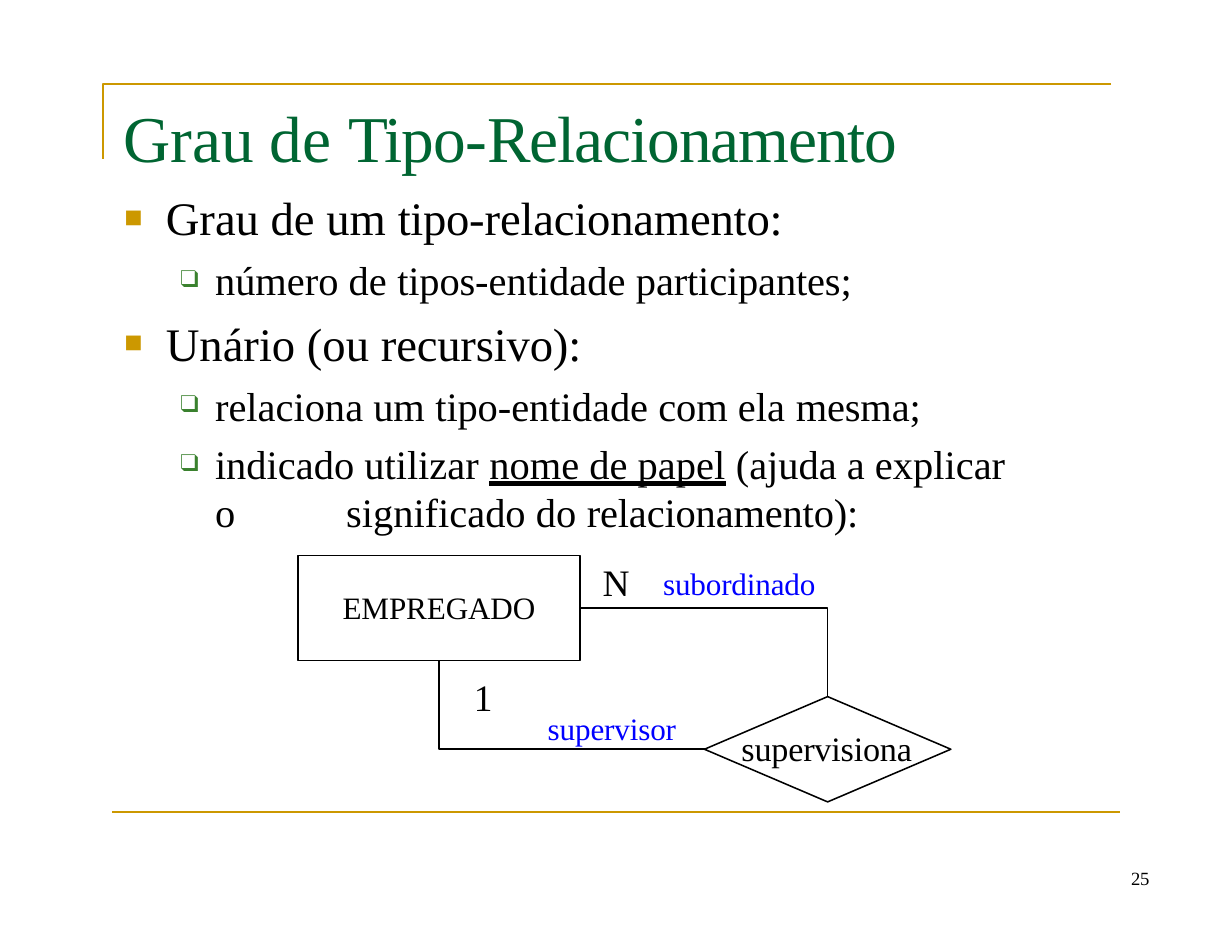
from dataclasses import dataclass

from lxml import etree
from pptx import Presentation
from pptx.dml.color import RGBColor
from pptx.enum.shapes import MSO_CONNECTOR, MSO_SHAPE
from pptx.enum.text import MSO_UNDERLINE
from pptx.oxml.ns import qn
from pptx.util import Inches, Pt

STRAIGHT = MSO_CONNECTOR.STRAIGHT
RECT, DIAMOND = MSO_SHAPE.RECTANGLE, MSO_SHAPE.DIAMOND
HEAVY = MSO_UNDERLINE.HEAVY_LINE
FONT = "Times New Roman"
COLORS = {"gold": "CC9800", "title": "006532", "black": "000000",
          "white": "FFFFFF", "role": "0000FF", "green": "3A812E"}


@dataclass
class Span:
    text: str
    track: float = 0
    under: bool = False


@dataclass
class Label:
    spans: list[Span]
    left: float
    top: float
    width: float
    height: float
    size: float
    color: str = "black"
    before: float = 1


@dataclass
class Level:
    size: float
    margin: float
    hang: float
    mark: str
    tint: str
    scale: int


@dataclass
class Item:
    level: int
    before: float
    spans: list[Span]
    stop: float = 0


LEVELS = [Level(30, 0.39, -0.37, "■", "gold", 65),
          Level(26, 0.83, -0.31, "❑", "green", 60)]
ITEMS = [
    Item(0, 8.3, [Span("Grau de um "), Span("tipo-", -0.2),
                  Span("relacionamento:", -0.1)]),
    Item(1, 6.4, [Span("número de "), Span("tipos-", -0.1),
                  Span("entidade "), Span("participantes;", -0.1)]),
    Item(0, 7, [Span("Unário (ou "), Span("recursivo):", -0.1)]),
    Item(1, 6.4, [Span("relaciona um "), Span("tipo-", -0.1),
                  Span("entidade com ela "), Span("mesma;", -0.1)]),
    Item(1, 6.2, [Span("indicado utilizar "), Span("nome de papel", 0, True),
                  Span(" (ajuda a explicar "), Span("o \t", -0.5),
                  Span("significado do "), Span("relacionamento):", -0.1)],
         stop=2),
]
LABELS = [
    Label([Span("Grau de "), Span("Tipo-", -0.6),
           Span("Relacionamento", -0.7)],
          1.1, 0.86, 6.94, 0.73, 42, "title"),
    Label([Span("supervisiona", -0.1)], 6.62, 6.48, 1.57, 0.39, 22),
    Label([Span("EMPREGADO", -0.1)], 3.06, 5.24, 1.76, 0.36, 20),
    Label([Span("N", -0.5)], 5.38, 4.98, 0.27, 0.43, 24),
    Label([Span("1", -0.5)], 4.23, 6.01, 0.19, 0.43, 24),
    Label([Span("supervisor", -0.1)], 4.89, 6.32, 1.19, 0.36, 20, "role"),
    Label([Span("subordinado", -0.1)], 5.92, 5.03, 1.41, 0.36, 20, "role"),
    Label([Span("25", -0.2)], 10.1, 7.73, 0.25, 0.22, 12, before=0),
]
CORNER = [(9.92, 0.75), (0.92, 0.75), (0.92, 1.42)]
LINK = [(3.92, 5.9), (3.92, 6.69), (7.39, 6.69), (7.39, 5.43), (5.18, 5.43)]


def tone(name: str) -> RGBColor:
    return RGBColor.from_string(COLORS[name])


def add_frame(slide, left: float, top: float, width: float, height: float,
              inset: float, wrap: bool):
    box = slide.shapes.add_textbox(Inches(left), Inches(top),
                                   Inches(width), Inches(height))
    frame = box.text_frame
    frame.word_wrap = wrap
    frame.margin_left = frame.margin_right = frame.margin_bottom = 0
    frame.margin_top = Inches(inset)
    return frame


def fill_para(para, spans: list[Span], size: float, color: str,
              before: float) -> None:
    para.space_before = Pt(before)
    para.font.name, para.font.size = FONT, Pt(size)
    para.font.color.rgb = tone(color)
    for span in spans:
        run = para.add_run()
        run.text = span.text
        if span.track:
            run.font._element.set("spc", str(round(span.track * 100)))
        if span.under:
            run.font.underline = HEAVY


def add_label(slide, label: Label) -> None:
    frame = add_frame(slide, label.left, label.top, label.width,
                      label.height, 0.01, False)
    fill_para(frame.paragraphs[0], label.spans, label.size, label.color,
              label.before)


def set_bullet(para, level: Level, stop: float) -> None:
    props = para._p.get_or_add_pPr()
    props.set("marL", str(Inches(level.margin)))
    props.set("marR", str(Inches(0.1)))
    props.set("indent", str(Inches(level.hang)))
    tint = etree.Element(qn("a:buClr"))
    etree.SubElement(tint, qn("a:srgbClr"), val=COLORS[level.tint])
    scale = etree.Element(qn("a:buSzPct"), val=str(level.scale * 1000))
    face = etree.Element(qn("a:buFont"), typeface=FONT)
    mark = etree.Element(qn("a:buChar"), char=level.mark)
    tabs = etree.Element(qn("a:tabLst"))
    etree.SubElement(tabs, qn("a:tab"), pos=str(Inches(stop or level.margin)),
                     algn="l")
    # Bullet parts stand after spacing and before the default font
    font = props.find(qn("a:defRPr"))
    for part in (tint, scale, face, mark, tabs):
        font.addprevious(part)


def add_body(slide) -> None:
    frame = add_frame(slide, 1.09, 1.57, 8.15, 3.23, 0.12, True)
    for index, item in enumerate(ITEMS):
        para = frame.add_paragraph() if index else frame.paragraphs[0]
        level = LEVELS[item.level]
        para.level = item.level
        fill_para(para, item.spans, level.size, "black", item.before)
        set_bullet(para, level, item.stop)


def add_route(slide, points: list[tuple[float, float]], color: str,
              weight: float) -> None:
    spots = [(Inches(x), Inches(y)) for x, y in points]
    pen = slide.shapes.build_freeform(*spots[0])
    pen.add_line_segments(spots[1:], close=False)
    route = pen.convert_to_shape()
    route.shadow.inherit = False
    route.fill.background()
    route.line.color.rgb = tone(color)
    route.line.width = Pt(weight)


def add_rule(slide, left: float, right: float, top: float) -> None:
    rule = slide.shapes.add_connector(STRAIGHT, Inches(left), Inches(top),
                                      Inches(right), Inches(top))
    rule.line.color.rgb = tone("gold")
    rule.line.width = Pt(1.5)
    etree.SubElement(rule._element.spPr, qn("a:effectLst"))


def add_node(slide, kind, left: float, top: float, width: float,
             height: float) -> None:
    node = slide.shapes.add_shape(kind, Inches(left), Inches(top),
                                  Inches(width), Inches(height))
    node.shadow.inherit = False
    node.fill.solid()
    node.fill.fore_color.rgb = tone("white")
    node.line.color.rgb = tone("black")
    node.line.width = Pt(1)


def main() -> None:
    deck = Presentation()
    deck.slide_width, deck.slide_height = Inches(11), Inches(8.5)
    slide = deck.slides.add_slide(deck.slide_layouts[6])
    # Frame of the slide
    add_route(slide, CORNER, "gold", 1.5)
    add_rule(slide, 1, 10, 7.25)
    # Link between the entity and the relationship
    add_route(slide, LINK, "black", 1)
    add_node(slide, RECT, 2.66, 4.96, 2.52, 0.94)
    add_node(slide, DIAMOND, 6.29, 6.22, 2.2, 0.94)
    # Text
    add_body(slide)
    for label in LABELS:
        add_label(slide, label)
    deck.save("out.pptx")


if __name__ == "__main__":
    main()
